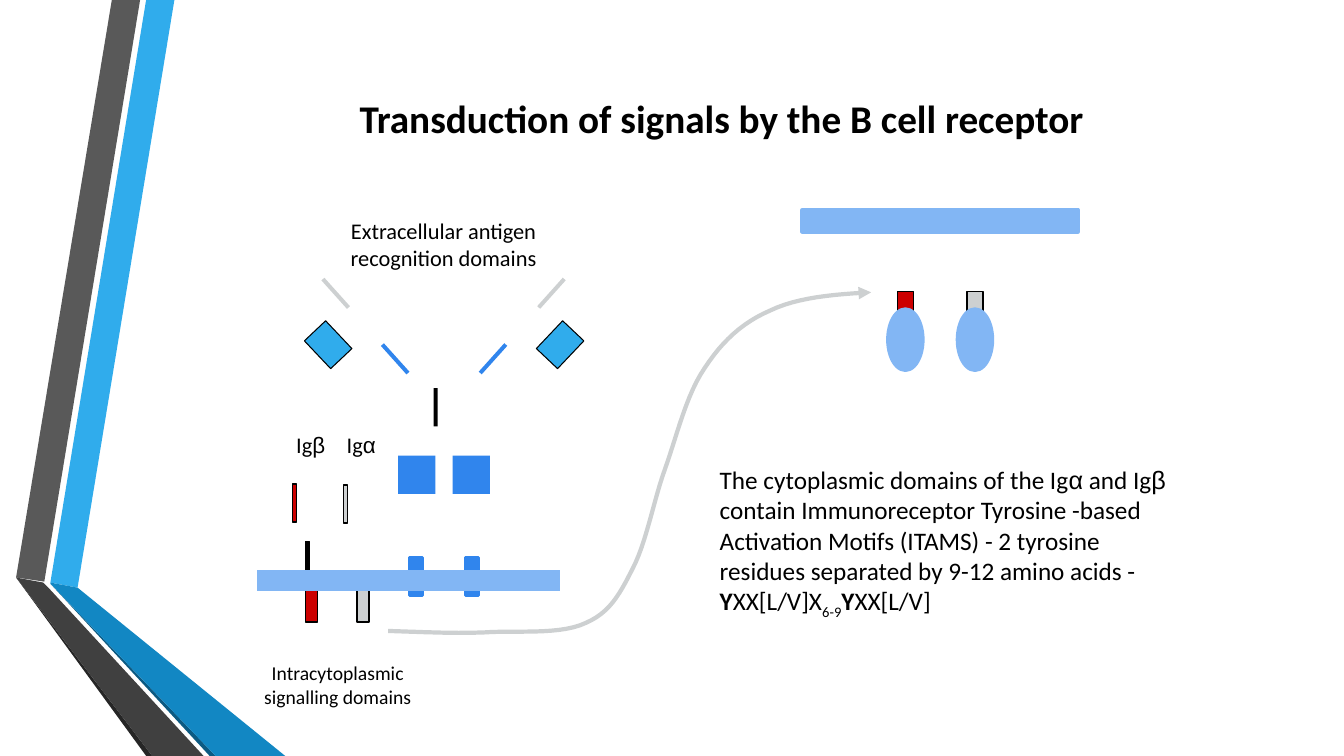
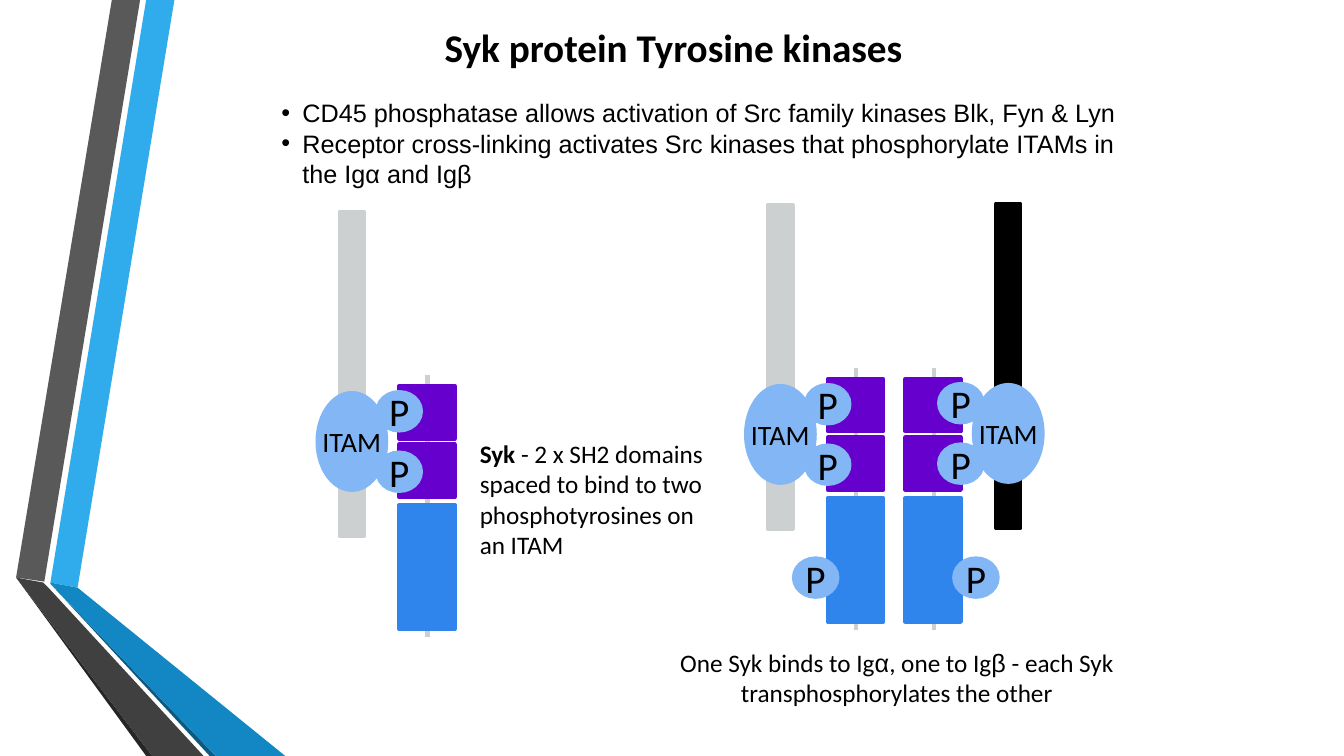
import pptx
import pptx.util
import pptx.dml.color
import pptx.enum.shapes
import pptx.enum.text
import pptx.oxml.ns
import lxml.etree

Inches, Pt = pptx.util.Inches, pptx.util.Pt
RGB = pptx.dml.color.RGBColor
FORM = pptx.enum.shapes.MSO_SHAPE
ALIGN = pptx.enum.text.PP_ALIGN
ANCHOR = pptx.enum.text.MSO_ANCHOR

# Colours and fonts
BLACK = RGB(0x00, 0x00, 0x00)
RED = RGB(0xCC, 0x00, 0x00)
GREY = RGB(0xCD, 0xD0, 0xD1)
BLUE = RGB(0x30, 0x85, 0xED)
PALE = RGB(0x82, 0xB6, 0xF4)
SKY = RGB(0x30, 0xAC, 0xEC)
PURPLE = RGB(0x66, 0x00, 0xCC)
BODY, GREEK = "Calibri", "Arial"

# Ribbon on the left of every slide
RIBBON = [
    (SKY, [(0.5, 5.78), (0.77, 5.83), (1.73, 0), (1.45, 0)]),
    (RGB(0x59, 0x59, 0x59), [(1.39, 0), (1.11, 0), (0.16, 5.73), (0.44, 5.77)]),
    (RGB(0x26, 0x26, 0x26), [(0.16, 5.73), (1.45, 7.5), (1.51, 7.5)]),
    (RGB(0x0C, 0x5A, 0x82), [(0.5, 5.79), (2.08, 7.5), (2.14, 7.5)]),
    (RGB(0x12, 0x87, 0xC3), [(0.5, 5.79), (2.14, 7.5), (2.83, 7.5),
                             (0.77, 5.83), (0.5, 5.78)]),
    (RGB(0x40, 0x40, 0x40), [(2.02, 7.5), (0.48, 5.83), (0.43, 5.78),
                             (0.16, 5.73), (1.51, 7.5)]),
]

# Path of the arrow: a start, then two controls and an end per bend
START = (3.85, 6.26)
BENDS = [
    ((4.2, 6.27), (4.56, 6.29), (4.88, 6.27)),
    ((5.21, 6.26), (5.58, 6.29), (5.81, 6.18)),
    ((6.04, 6.08), (6.14, 5.91), (6.27, 5.65)),
    ((6.41, 5.39), (6.48, 4.97), (6.6, 4.64)),
    ((6.72, 4.3), (6.81, 3.91), (6.99, 3.65)),
    ((7.16, 3.39), (7.36, 3.2), (7.64, 3.08)),
    ((7.91, 2.95), (8.27, 2.92), (8.64, 2.9)),
]


def paint(shape, fill, line=None, width=1):
    shape.shadow.inherit = False
    if fill is None:
        shape.fill.background()
    else:
        shape.fill.solid()
        shape.fill.fore_color.rgb = fill
    if line is None:
        shape.line.fill.background()
    else:
        shape.line.color.rgb = line
        shape.line.width = Pt(width)


def block(slide, box, fill, line=None, width=1, turn=0, form=FORM.RECTANGLE):
    shape = slide.shapes.add_shape(form, *map(Inches, box))
    shape.rotation = turn
    paint(shape, fill, line, width)
    return shape


def outline(slide, spots, closed=True):
    spots = [(Inches(x), Inches(y)) for x, y in spots]
    pen = slide.shapes.build_freeform(*spots[0])
    pen.add_line_segments(spots[1:], close=closed)
    return pen.convert_to_shape()


def rod(slide, start, end, color, width):
    line = slide.shapes.add_connector(
        pptx.enum.shapes.MSO_CONNECTOR.STRAIGHT, *map(Inches, start + end))
    line.line.color.rgb = color
    line.line.width = Pt(width)
    lxml.etree.SubElement(line._element.spPr, pptx.oxml.ns.qn("a:effectLst"))


def write(frame, paras, size, align=ALIGN.LEFT):
    """Fill a frame; each paragraph is a list of (text, style) runs."""
    frame.word_wrap = True
    frame.auto_size = pptx.enum.text.MSO_AUTO_SIZE.NONE
    for i, runs in enumerate(paras):
        para = frame.add_paragraph() if i else frame.paragraphs[0]
        para.alignment = align
        para.space_before = Pt(0)
        for text, style in runs:
            run = para.add_run()
            run.text = text
            font = run.font
            font.size = Pt(size)
            font.name = style.get("font", BODY)
            font.bold = style.get("bold", False)
            font.color.rgb = BLACK
            if "base" in style:
                font._element.set("baseline", str(style["base"] * 1000))


def plain(text):
    return text, {}


def bold(text):
    return text, {"bold": True}


def greek(text):
    return text, {"font": GREEK}


def label(slide, box, paras, size, align=ALIGN.LEFT):
    area = slide.shapes.add_textbox(*map(Inches, box))
    write(area.text_frame, paras, size, align)


def place(shape, box):
    shape.left, shape.top, shape.width, shape.height = map(Inches, box)


def title(slide, box, text, align):
    head = slide.shapes.title
    place(head, box)
    write(head.text_frame, [[bold(text)]], 28, align)
    head.text_frame.vertical_anchor = ANCHOR.MIDDLE


def oval(slide, mid, top, size, text="", points=20):
    wide, high = size
    shape = block(slide, (mid - wide / 2, top, wide, high), PALE, PALE, 3,
                  form=FORM.OVAL)
    if text:
        frame = shape.text_frame
        write(frame, [[plain(text)]], points, ALIGN.CENTER)
        frame.word_wrap = False
        frame.vertical_anchor = ANCHOR.MIDDLE


def phos(slide, mid, top):
    oval(slide, mid, top, (0.43, 0.38), "P", 28)


def syk(slide, left, top):
    """Two SH2 domains and a kinase domain on one thread."""
    mid = left + 0.28
    rod(slide, (mid, top - 0.11), (mid, top + 2.49), GREY, 3)
    for drop, high, fill in ((0, 0.52, PURPLE), (0.58, 0.52, PURPLE),
                             (1.18, 1.23, BLUE)):
        block(slide, (left, top + drop, 0.55, high), fill, fill, 3)


def chain(slide, mid, top, side, color):
    """Receptor chain whose ITAM holds phosphates on one side (1 or -1)."""
    block(slide, (mid - 0.12, top, 0.24, 3.22), color, color, 3)
    oval(slide, mid, top + 1.8, (0.68, 0.96), "ITAM")
    for drop in (1.79, 2.39):
        phos(slide, mid + side * 0.47, top + drop)


def ribbon(deck, slide):
    """Draw the ribbon, then move it to the master."""
    tree = deck.slide_master.shapes._spTree
    for i, (color, spots) in enumerate(RIBBON):
        shape = outline(slide, spots)
        paint(shape, color)
        shape.name = f"Ribbon {i + 1}"
        shape._element.nvSpPr.cNvPr.set("id", str(20 + i))
        tree.insert(2 + i, shape._element)


def arrow(slide):
    spots, steps = [START], 12
    for bend in BENDS:
        knots = (spots[-1],) + bend
        for n in range(1, steps + 1):
            t = n / steps
            parts = ((1 - t) ** 3, 3 * t * (1 - t) ** 2,
                     3 * t ** 2 * (1 - t), t ** 3)
            spots.append(tuple(sum(p * k[axis] for p, k in zip(parts, knots))
                               for axis in (0, 1)))
    shape = outline(slide, spots, closed=False)
    paint(shape, None, GREY, 3)
    tail = lxml.etree.SubElement(shape.line._get_or_add_ln(),
                                 pptx.oxml.ns.qn("a:tailEnd"))
    tail.set("type", "triangle")


def signals(slide):
    title(slide, (3.37, 0.89, 7.57, 0.55),
          "Transduction of signals by the B cell receptor", ALIGN.CENTER)

    # Ig chains beside the receptor
    for left, top, wide, fill in (
            (3.03, 5.37, 0.04, BLACK), (3.03, 5.79, 0.12, RED),
            (3.54, 5.79, 0.12, GREY), (2.9, 4.8, 0.04, RED),
            (3.41, 4.81, 0.04, GREY)):
        block(slide, (left, top, wide, 0.38), fill, BLACK)
    for left, sign in ((3.34, "α"), (2.84, "β")):
        label(slide, (left, 4.23, 0.7, 0.37), [[plain("Ig"), greek(sign)]], 16)
    label(slide, (2.35, 6.51, 2, 0.57),
          [[plain("Intracytoplasmic")], [plain("signalling domains")]],
          14, ALIGN.CENTER)

    # Receptor stem and arms
    block(slide, (4.3, 3.85, 0.04, 0.38), BLACK)
    for left in (4.06, 4.62):
        block(slide, (left, 5.53, 0.13, 0.38), BLUE, BLUE, 2.25)
    for left in (3.95, 4.49):
        block(slide, (left, 4.52, 0.37, 0.38), BLUE)
    for left, top, fill, turn in (
            (3.9, 3.37, BLUE, -41.9), (4.87, 3.37, BLUE, 41.9),
            (3.31, 2.72, GREY, -41.9), (5.45, 2.72, GREY, 41.9)):
        block(slide, (left, top, 0.04, 0.38), fill, turn=turn)
    rod(slide, (2.55, 5.76), (5.55, 5.76), PALE, 15)
    for left, turn in ((3.11, -43.4), (5.41, 43.4)):
        block(slide, (left, 3.23, 0.29, 0.38), SKY, BLACK, 0.75, turn)
    label(slide, (3.2, 2.11, 2.4, 0.64),
          [[plain("Extracellular antigen")], [plain("recognition domains")]],
          16, ALIGN.CENTER)

    # Enlarged cytoplasmic domains
    for left, fill in ((8.9, RED), (9.59, GREY)):
        block(slide, (left, 2.89, 0.16, 0.38), fill, BLACK)
        oval(slide, left + 0.08, 3.07, (0.34, 0.6))
    block(slide, (7.96, 2.08, 2.73, 0.22), PALE, PALE, 3)
    arrow(slide)
    label(slide, (7.04, 4.56, 4.67, 1.6), [[
        plain("The cytoplasmic domains of the Ig"), greek("α"),
        plain(" and Ig"), greek("β"),
        plain(" contain Immunoreceptor Tyrosine -based Activation Motifs "
              "(ITAMS) - 2 tyrosine residues separated by 9-12 amino acids - "),
        bold("Y"), plain("XX[L/V]X"), ("6-9", {"base": -25}),
        bold("Y"), plain("XX[L/V]")]], 18)


def kinases(slide):
    title(slide, (4.31, 0.18, 5.4, 0.57), "Syk protein Tyrosine kinases",
          ALIGN.LEFT)
    body = slide.placeholders[1]
    place(body, (2.69, 0.92, 8.8, 1))
    write(body.text_frame, [
        [greek("CD45 phosphatase allows activation of Src family kinases "
               "Blk, Fyn & Lyn")],
        [greek("Receptor cross-linking activates Src kinases that "
               "phosphorylate ITAMs in the Igα and Igβ")]], 18)
    for para in body.text_frame.paragraphs:
        props = para._p.get_or_add_pPr()
        props.set("marL", str(Inches(0.21)))
        props.set("indent", str(-Inches(0.21)))

    # One Syk on one chain
    syk(slide, 3.96, 3.83)
    chain(slide, 3.49, 2.1, 1, GREY)
    label(slide, (4.66, 4.3, 2.55, 1.31), [[
        bold("Syk"), plain(" - 2 x SH2 domains spaced to bind to two "
                           "phosphotyrosines on an ITAM")]], 18)

    # Two Syks facing each other
    for left in (8.21, 8.98):
        syk(slide, left, 3.76)
    chain(slide, 7.74, 2.03, 1, GREY)
    chain(slide, 10, 2.02, -1, BLACK)
    for mid in (8.09, 9.68):
        phos(slide, mid, 5.54)
    label(slide, (6.28, 6.37, 5.23, 0.7), [[
        plain("One Syk binds to Ig"), greek("α"), plain(", one to Ig"),
        greek("β"), plain(" - each Syk transphosphorylates the other")]],
        18, ALIGN.CENTER)


def main():
    deck = pptx.Presentation()
    deck.slide_width, deck.slide_height = Inches(13.33), Inches(7.5)
    first = deck.slides.add_slide(deck.slide_layouts[5])
    ribbon(deck, first)
    signals(first)
    kinases(deck.slides.add_slide(deck.slide_layouts[1]))
    deck.save("out.pptx")


if __name__ == "__main__":
    main()
